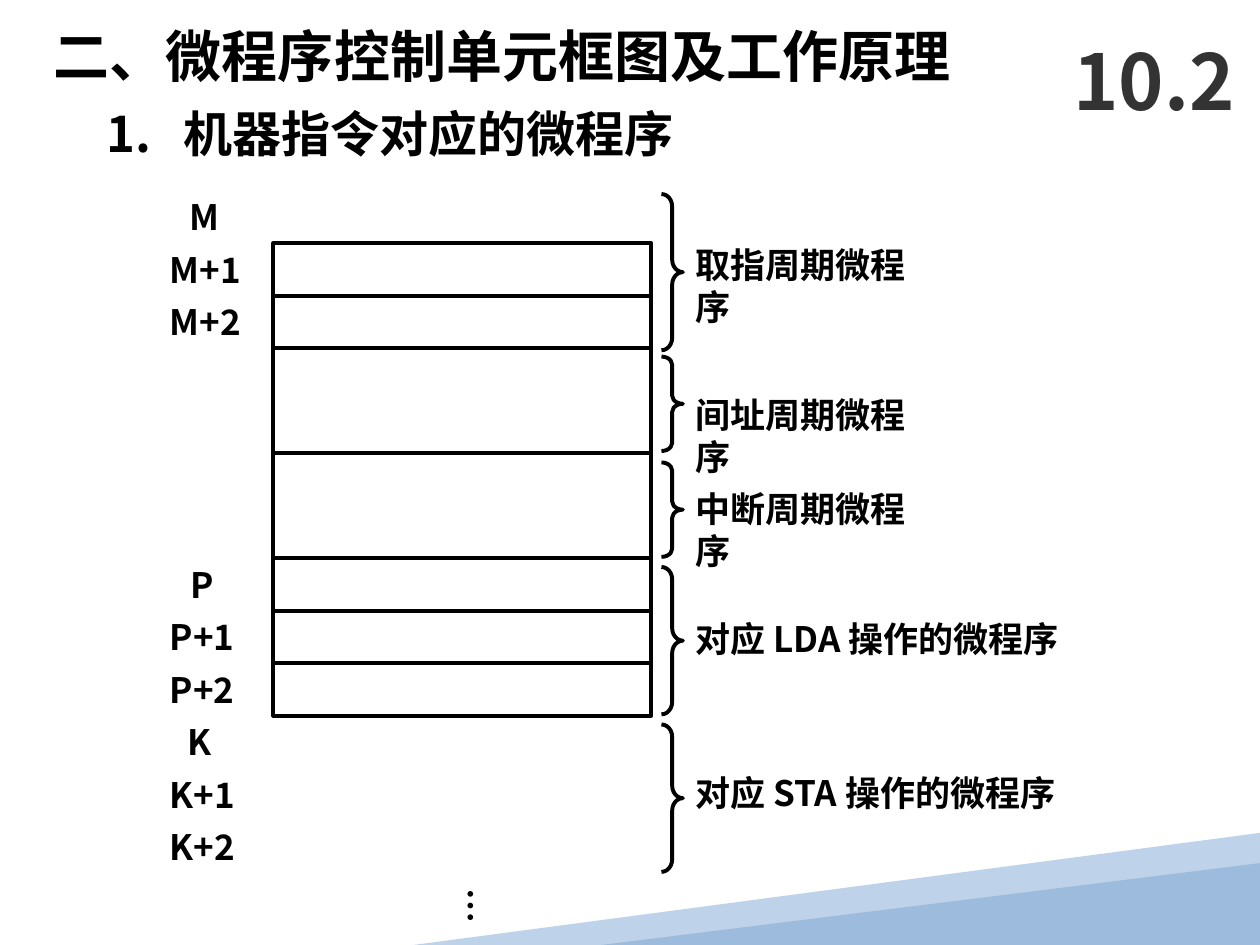
"""Build the slide on microprograms that match machine instructions."""
from lxml.etree import SubElement
from pptx import Presentation
from pptx.dml.color import RGBColor
from pptx.enum.shapes import MSO_CONNECTOR as Link, MSO_SHAPE as Kind
from pptx.enum.text import MSO_ANCHOR as Anchor, MSO_AUTO_SIZE as Auto
from pptx.oxml.ns import qn
from pptx.util import Inches, Pt

FONT = "Noto Sans CJK SC"
BLACK = RGBColor(0, 0, 0)
GRAY = RGBColor(0x33, 0x33, 0x33)
PALE = RGBColor(0xBE, 0xD2, 0xE9)
BLUE = RGBColor(0x9D, 0xBC, 0xDD)
LEFT, RIGHT, TOP, STEP = 2.17, 5.17, 1.93, 2.5 / 6
LABELS = [("M", -1, 1.41, 0.46, 0.81), ("P", 6, 1.41, 0.38, 0.73),
          ("K", 9, 1.39, 0.39, 0.74)]
CYCLES = [("取指周期微程序", 1.88, 2.12, 1.54, 1.24),
          ("间址周期微程序", 3.07, 2.12, 2.83, 0.75),
          ("中断周期微程序", 3.82, 2.12, 3.67, 0.75),
          ("对应 LDA 操作的微程序", 4.85, 3.14, 4.5, 1.17),
          ("对应 STA 操作的微程序", 6.07, 3.12, 5.75, 1.17)]


def add_text(slide, text, box, size=20, color=BLACK, wrap=True):
    """Add a bold text box and return its frame."""
    frame = slide.shapes.add_textbox(*map(Inches, box)).text_frame
    frame.word_wrap = wrap
    frame.auto_size = Auto.NONE
    run = frame.paragraphs[0].add_run()
    run.text = text
    font = run.font
    font.name, font.size, font.bold = FONT, Pt(size), True
    font.color.rgb = color
    SubElement(run._r.get_or_add_rPr(), qn("a:ea"), typeface=FONT)
    return frame


def add_tab(frame, pos):
    """Set a left tab stop on the first paragraph."""
    stops = SubElement(frame.paragraphs[0]._p.get_or_add_pPr(), qn("a:tabLst"))
    SubElement(stops, qn("a:tab"), pos=str(Inches(pos)), algn="l")


def add_frame(slide, kind, box):
    """Add an unfilled black shape."""
    shape = slide.shapes.add_shape(kind, *map(Inches, box))
    shape.shadow.inherit = False
    shape.fill.background()
    shape.line.color.rgb = BLACK
    shape.line.width = Pt(2.25)
    return shape


def add_brace(slide, top, height):
    """Add a right brace with round corners."""
    brace = add_frame(slide, Kind.RIGHT_BRACE, (5.25, top, 0.17, height))
    brace.adjustments[0] = 0.58 if height > 1 else 0.38


def add_line(slide, *ends):
    """Add a straight black line."""
    line = slide.shapes.add_connector(Link.STRAIGHT, *map(Inches, ends))
    line.line.color.rgb = BLACK
    line.line.width = Pt(2.25)
    SubElement(line._element.spPr, qn("a:effectLst"))


def paint(shape, color):
    """Give a shape a plain fill without outline."""
    shape.shadow.inherit = False
    shape.fill.solid()
    shape.fill.fore_color.rgb = color
    shape.line.fill.background()


def add_decor(slide):
    """Add the two slanted bands in the corner."""
    group = slide.shapes.add_group_shape()
    pen = group.shapes.build_freeform(Inches(10), Inches(6.61), scale=1.0)
    points = [(10, 7.44), (6.73, 7.5), (3.28, 7.5)]
    pen.add_line_segments([(Inches(x), Inches(y)) for x, y in points])
    paint(pen.convert_to_shape(), PALE)
    box = map(Inches, (4.77, 6.85, 5.23, 0.65))
    wedge = group.shapes.add_shape(Kind.ISOSCELES_TRIANGLE, *box)
    wedge.adjustments[0] = 1
    paint(wedge, BLUE)


def add_store(slide):
    """Add the control store with its rows."""
    for row in (0, 1, 6, 7, 8):
        add_frame(slide, Kind.RECTANGLE,
                  (LEFT, TOP + row * STEP, RIGHT - LEFT, STEP))
    upper, mid, lower = (TOP + row * STEP for row in (2, 4, 6))
    for x in (LEFT, RIGHT):
        add_line(slide, x, upper, x, lower)
    add_line(slide, LEFT, mid, RIGHT, mid)


def add_labels(slide):
    """Add the addresses beside the rows."""
    for name, first, left, width, wide in LABELS:
        for num in range(3):
            top = TOP - 0.01 + (first + num) * STEP
            text = f"{name}+{num}" if num else name
            box = (1.25, top, wide, 0.44) if num else (left, top, width, 0.44)
            add_text(slide, text, box, wrap=False)


def main():
    """Build and save the slide."""
    deck = Presentation()
    deck.slide_width, deck.slide_height = Inches(10), Inches(7.5)
    slide = deck.slides.add_slide(deck.slide_layouts[6])
    add_decor(slide)
    add_text(slide, "二、微程序控制单元框图及工作原理", (0.33, 0.12, 8, 0.64), 32)
    head = add_text(slide, "1.\t机器指令对应的微程序", (0.75, 0.77, 5.33, 0.57), 28)
    add_tab(head, 0.61)
    add_store(slide)
    add_labels(slide)
    dots = add_text(slide, "…", (3.42, 6.95, 0.54, 0.38), wrap=False)
    dots._txBody.bodyPr.set("vert", "eaVert")
    for text, top, width, start, height in CYCLES:
        add_brace(slide, start, height)
        add_text(slide, text, (5.42, top, width, 0.44))
    mark = add_text(slide, "10.2", (8.42, 0.17, 1.58, 0.92), 44, GRAY)
    mark.vertical_anchor = Anchor.MIDDLE
    deck.save("out.pptx")


if __name__ == "__main__":
    main()
